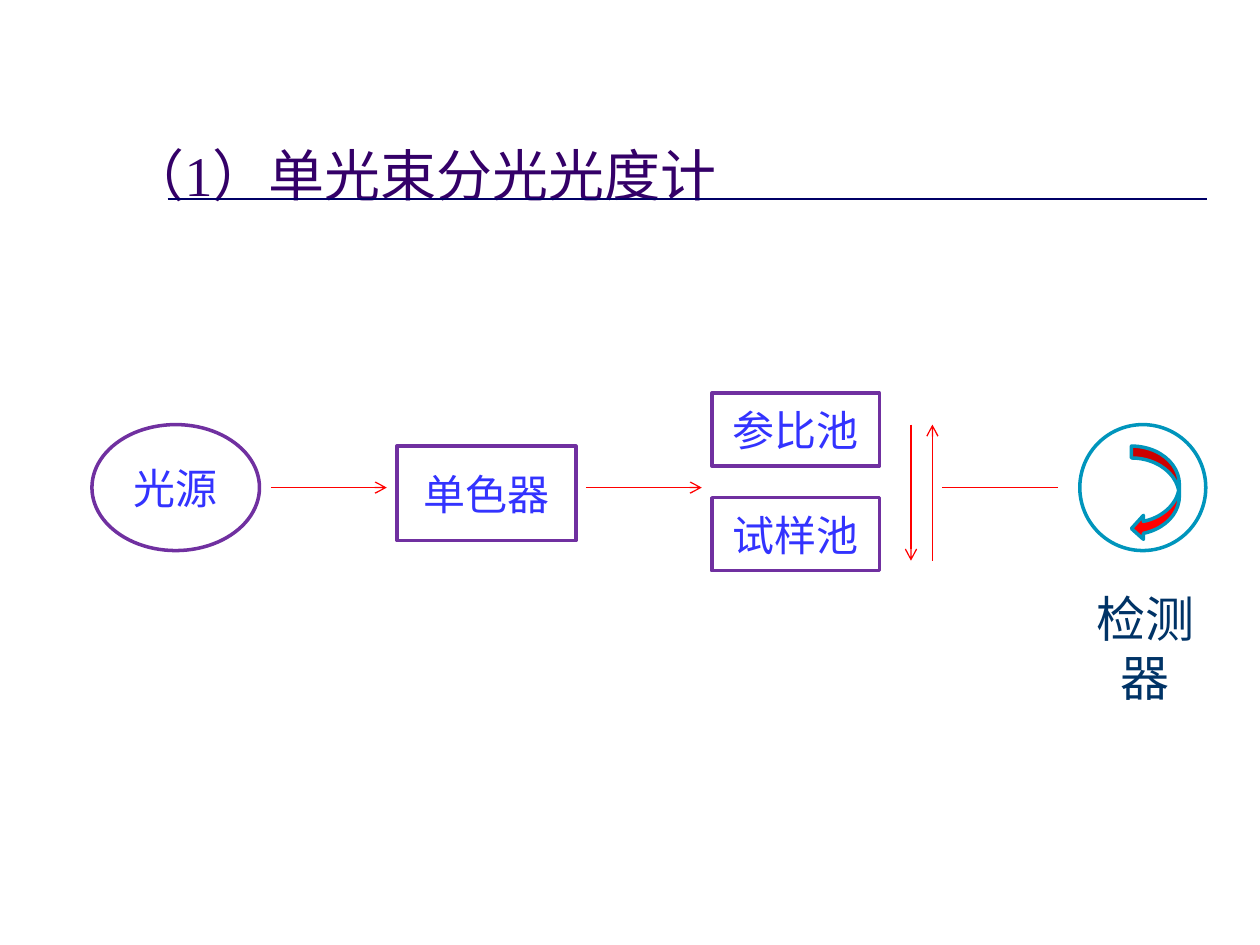
from lxml.etree import SubElement
from pptx import Presentation
from pptx.dml.color import RGBColor
from pptx.enum.shapes import MSO_CONNECTOR, MSO_SHAPE
from pptx.enum.text import MSO_ANCHOR, MSO_AUTO_SIZE, PP_ALIGN
from pptx.oxml.ns import qn
from pptx.util import Inches, Pt

NAVY = RGBColor(0x00, 0x00, 0x66)
TITLE_PURPLE = RGBColor(0x34, 0x00, 0x68)
PURPLE = RGBColor(0x70, 0x30, 0xA0)
BLUE = RGBColor(0x33, 0x33, 0xFF)
TEAL = RGBColor(0x00, 0x95, 0xBC)
RED = RGBColor(0xFF, 0x00, 0x00)
DARK_BLUE = RGBColor(0x00, 0x33, 0x66)

AXIS_Y = 3.87  # height of the light path


def write_text(shape, text, size, font_name, color, align):
    frame = shape.text_frame
    frame.text = text
    paragraph = frame.paragraphs[0]
    paragraph.alignment = align
    font = paragraph.runs[0].font
    font.size = Pt(size)
    font.name = font_name
    font.color.rgb = color


def set_title(slide, text):
    title = slide.shapes.title
    title.left, title.top = Inches(0.92), Inches(1.23)
    title.width, title.height = Inches(8.25), Inches(0.83)
    write_text(title, text, 32, "Times New Roman", TITLE_PURPLE, PP_ALIGN.LEFT)
    frame = title.text_frame
    frame.auto_size = MSO_AUTO_SIZE.NONE
    # The bottom inset lifts the words onto the rule
    frame.vertical_anchor = MSO_ANCHOR.BOTTOM
    frame.margin_bottom = Inches(0.41)


def add_outline(slide, kind, left, top, width, height, color, fill=None):
    shape = slide.shapes.add_shape(
        kind, Inches(left), Inches(top), Inches(width), Inches(height))
    shape.shadow.inherit = False
    if fill is None:
        shape.fill.background()
    else:
        shape.fill.solid()
        shape.fill.fore_color.rgb = fill
    shape.line.color.rgb = color
    shape.line.width = Pt(2)
    return shape


def add_component(slide, text, kind, left, top, width, height):
    shape = add_outline(slide, kind, left, top, width, height, PURPLE)
    write_text(shape, text, 24, "Arial", BLUE, PP_ALIGN.CENTER)
    shape.text_frame.vertical_anchor = MSO_ANCHOR.MIDDLE


def add_line(slide, start, end, color=RED, width=0.75, arrow=False):
    connector = slide.shapes.add_connector(
        MSO_CONNECTOR.STRAIGHT, *(Inches(value) for value in (*start, *end)))
    connector.line.color.rgb = color
    connector.line.width = Pt(width)
    properties = connector._element.spPr
    if arrow:
        line = properties.find(qn("a:ln"))
        SubElement(line, qn("a:tailEnd"), type="arrow")
    SubElement(properties, qn("a:effectLst"))


def add_caption(slide, text, left, top, width, height):
    box = slide.shapes.add_textbox(
        Inches(left), Inches(top), Inches(width), Inches(height))
    write_text(box, text, 28, "Times New Roman", DARK_BLUE, PP_ALIGN.CENTER)
    box.text_frame.word_wrap = False


def main():
    presentation = Presentation()
    presentation.slide_width = Inches(10)
    presentation.slide_height = Inches(7.5)
    slide = presentation.slides.add_slide(presentation.slide_layouts[5])

    # Title and its rule
    add_line(slide, (1.33, 1.58), (9.58, 1.58), NAVY, 1.5)
    set_title(slide, "（1）单光束分光光度计")

    # Light source, monochromator and the two cells
    add_component(slide, "光源", MSO_SHAPE.OVAL, 0.73, 3.37, 1.33, 1)
    add_component(slide, "单色器", MSO_SHAPE.RECTANGLE, 3.15, 3.54, 1.42, 0.75)
    for text, top in (("参比池", 3.12), ("试样池", 3.95)):
        add_component(slide, text, MSO_SHAPE.RECTANGLE, 5.65, top, 1.33, 0.58)

    # Light path
    for left, arrow in ((2.15, True), (4.65, True), (7.48, False)):
        add_line(slide, (left, AXIS_Y), (left + 0.92, AXIS_Y), arrow=arrow)

    # Exchange of the cells
    add_line(slide, (7.23, 3.37), (7.23, 4.45), arrow=True)
    add_line(slide, (7.4, 4.45), (7.4, 3.37), arrow=True)

    # Detector
    add_outline(slide, MSO_SHAPE.OVAL, 8.57, 3.37, 1, 1, TEAL)
    add_outline(slide, MSO_SHAPE.CURVED_LEFT_ARROW, 8.98, 3.54, 0.38, 0.75,
                TEAL, RED)
    add_caption(slide, "检测器", 8.41, 4.62, 1.36, 0.57)

    presentation.save("out.pptx")


if __name__ == "__main__":
    main()
